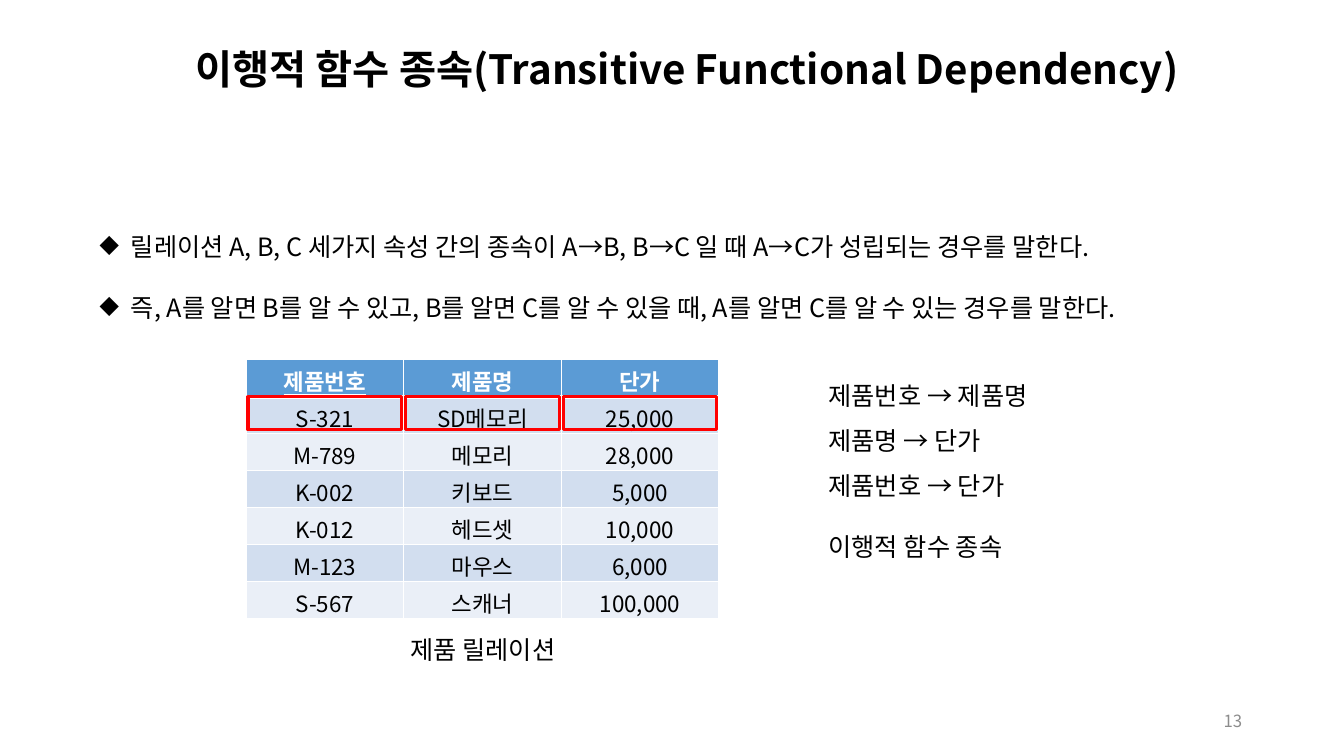
from lxml import etree
from pptx import Presentation, util as u
from pptx.dml.color import RGBColor
from pptx.enum import shapes, text
from pptx.oxml.ns import qn

FONT = "Noto Sans CJK KR"
COLORS = {
    "black": "000000", "white": "FFFFFF", "gray": "8C8C8C", "red": "FF0000",
    "header": "5B9BD5", "band_dark": "D2DEEF", "band_light": "EAEFF7",
}
ALIGN = text.PP_ALIGN
ROWS = [
    ("제품번호", "제품명", "단가"),
    ("S-321", "SD메모리", "25,000"),
    ("M-789", "메모리", "28,000"),
    ("K-002", "키보드", "5,000"),
    ("K-012", "헤드셋", "10,000"),
    ("M-123", "마우스", "6,000"),
    ("S-567", "스캐너", "100,000"),
]


def rgb(name):
    """Return the named colour."""
    return RGBColor.from_string(COLORS[name])


def write(paragraph, words, size=18, color="black", bold=False, underline=False,
          align=ALIGN.LEFT, spacing=1.0, before=0, bullet=None):
    """Fill a paragraph with one formatted run."""
    paragraph.alignment = align
    paragraph.line_spacing = spacing
    paragraph.space_before = u.Pt(before)
    if bullet:
        properties = paragraph._p.get_or_add_pPr()
        indent = u.Inches(0.31)
        properties.set("marL", str(indent))
        properties.set("indent", str(-indent))
        etree.SubElement(properties, qn("a:buChar"), char=bullet)
    run = paragraph.add_run()
    run.text = words
    font = run.font
    font.size, font.bold, font.underline = u.Pt(size), bold, underline
    font.color.rgb = rgb(color)
    font.name = FONT
    etree.SubElement(run._r.get_or_add_rPr(), qn("a:ea"), typeface=FONT)


def add_text(slide, box, lines, anchor=text.MSO_ANCHOR.TOP, **style):
    """Add a text box; each line is a string or a (string, overrides) pair."""
    frame = slide.shapes.add_textbox(*map(u.Inches, box)).text_frame
    frame.word_wrap = True
    frame.vertical_anchor = anchor
    for index, line in enumerate(lines):
        words, overrides = (line, {}) if isinstance(line, str) else line
        paragraph = frame.add_paragraph() if index else frame.paragraphs[0]
        write(paragraph, words, **{**style, **overrides})


def set_borders(cell, widths):
    """Draw white cell borders; widths maps a side (L, R, T, B) to points."""
    properties = cell._tc.get_or_add_tcPr()
    for side, width in widths.items():
        line = etree.SubElement(properties, qn(f"a:ln{side}"), w=str(u.Pt(width)))
        fill = etree.SubElement(line, qn("a:solidFill"))
        etree.SubElement(fill, qn("a:srgbClr"), val=COLORS["white"])


def add_product_table(slide, box):
    """Add the product relation, with its first record outlined cell by cell."""
    left, top, width, height = box
    column_width, row_height = width / len(ROWS[0]), height / len(ROWS)
    table = slide.shapes.add_table(
        len(ROWS), len(ROWS[0]), *map(u.Inches, box)).table
    for r, record in enumerate(ROWS):
        header = r == 0
        band = "header" if header else "band_dark" if r % 2 else "band_light"
        for c, value in enumerate(record):
            cell = table.cell(r, c)
            set_borders(cell, {"L": 1, "R": 1, "T": 3 if r == 1 else 1,
                               "B": 3 if header else 1})
            cell.fill.solid()
            cell.fill.fore_color.rgb = rgb(band)
            write(cell.text_frame.paragraphs[0], value, size=16, bold=header,
                  color="white" if header else "black",
                  underline=header and c == 0, align=ALIGN.CENTER)

    inset = 0.02
    for c in range(len(ROWS[0])):
        frame = slide.shapes.add_shape(
            shapes.MSO_SHAPE.RECTANGLE,
            u.Inches(left + c * column_width + inset),
            u.Inches(top + row_height), u.Inches(column_width - 2 * inset),
            u.Inches(row_height - 2 * inset))
        frame.shadow.inherit = False
        frame.fill.background()
        frame.line.color.rgb = rgb("red")
        frame.line.width = u.Pt(2.25)


def add_definition(slide, box):
    """Add the two bulleted sentences that define the dependency."""
    add_text(slide, box, [
        "릴레이션 A, B, C 세가지 속성 간의 종속이 A→B, B→C 일 때 A→C가 성립되는 경우를 말한다.",
        "즉, A를 알면 B를 알 수 있고, B를 알면 C를 알 수 있을 때, "
        "A를 알면 C를 알 수 있는 경우를 말한다.",
    ], spacing=2.0, bullet="◆")


def add_dependencies(slide, box):
    """Add the dependency list and its conclusion."""
    add_text(slide, box, [
        "제품번호 → 제품명", "제품명 → 단가", "제품번호 → 단가",
        ("이행적 함수 종속", {"spacing": 1.0, "before": 22}),
    ], spacing=1.5)


def build_slide(presentation):
    """Place every region on a blank slide."""
    slide = presentation.slides.add_slide(presentation.slide_layouts[6])
    middle = text.MSO_ANCHOR.MIDDLE
    add_text(slide, (1.84, 0.21, 10.27, 0.99),
             ["이행적 함수 종속(Transitive Functional Dependency)"],
             anchor=middle, size=28.8, bold=True, spacing=0.9)
    add_definition(slide, (0.89, 1.95, 11.68, 1.31))
    add_text(slide, (9.42, 6.95, 3, 0.4), ["13"], anchor=middle,
             size=12, color="gray", align=ALIGN.RIGHT)
    add_product_table(slide, (2.44, 3.57, 4.69, 2.57))
    add_text(slide, (3.62, 6.24, 2.34, 0.4), ["제품 릴레이션"],
             align=ALIGN.CENTER)
    add_dependencies(slide, (8.12, 3.57, 2.8, 2.37))


presentation = Presentation()
presentation.slide_width = u.Inches(13.33)
presentation.slide_height = u.Inches(7.5)
build_slide(presentation)
presentation.save("out.pptx")
